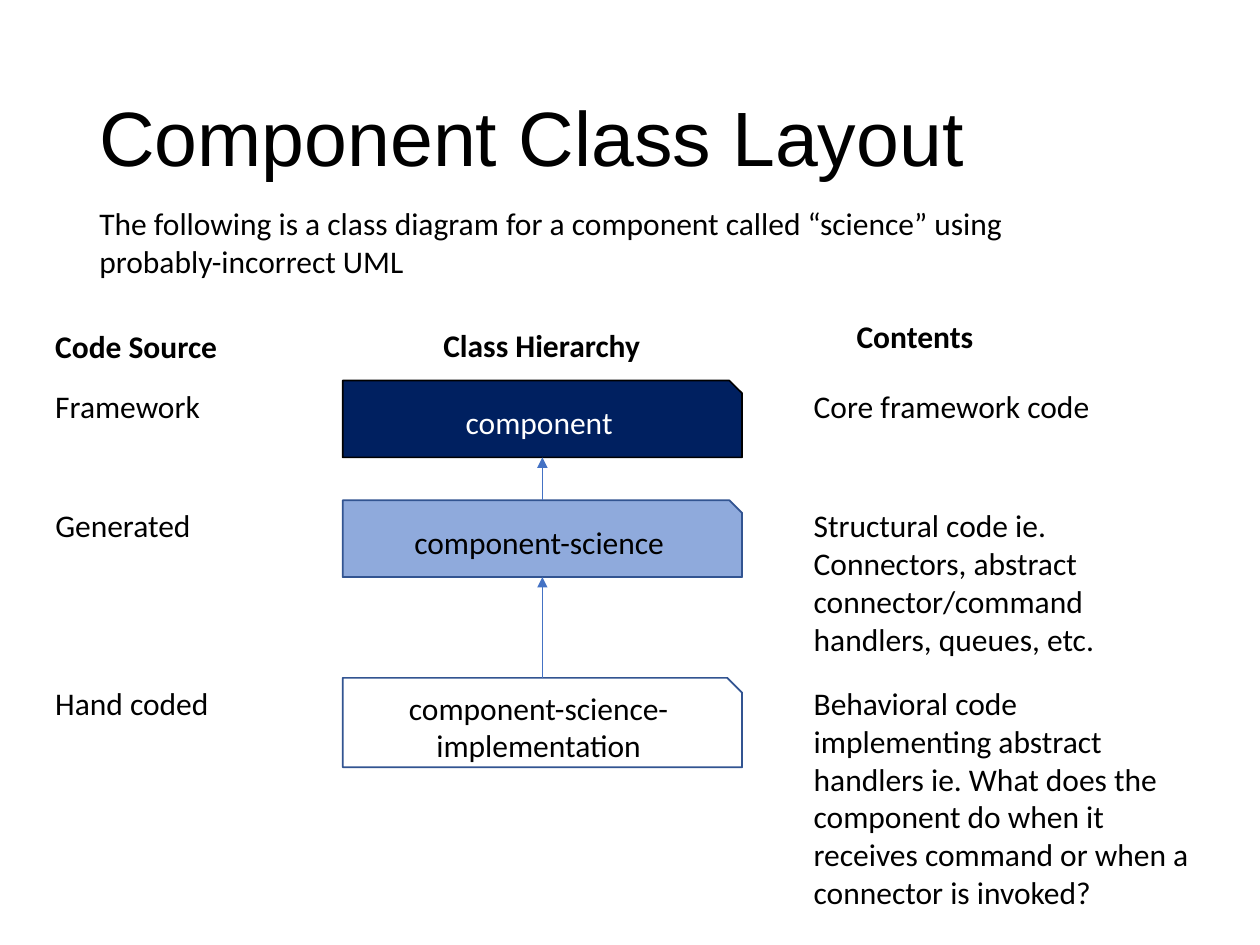
from dataclasses import dataclass

from lxml import etree
from pptx import Presentation
from pptx.dml.color import RGBColor
from pptx.enum.shapes import MSO_CONNECTOR, MSO_SHAPE
from pptx.enum.text import MSO_ANCHOR, MSO_AUTO_SIZE, PP_ALIGN
from pptx.oxml.ns import qn
from pptx.util import Inches, Pt

SNIPPED = MSO_SHAPE.SNIP_1_RECTANGLE
STRAIGHT = MSO_CONNECTOR.STRAIGHT
TOP, MIDDLE = MSO_ANCHOR.TOP, MSO_ANCHOR.MIDDLE
LEFT, CENTER = PP_ALIGN.LEFT, PP_ALIGN.CENTER
GROW, FIXED = MSO_AUTO_SIZE.SHAPE_TO_FIT_TEXT, MSO_AUTO_SIZE.NONE
TOP_SITE, BOTTOM_SITE = 0, 2


@dataclass(frozen=True)
class Theme:
    """Colours, fonts and type sizes of the slide."""
    black: str = "000000"
    white: str = "FFFFFF"
    navy: str = "002060"
    light_blue: str = "8FAADC"
    border_blue: str = "325491"
    arrow_blue: str = "4472C4"
    title_font: str = "Arial"
    body_font: str = "Calibri"
    title_size: int = 44
    body_size: int = 18


THEME = Theme()
LINE_HEIGHT = 0.4
CLASS_LEFT, CLASS_WIDTH = 2.72, 3.17
SOURCE_LEFT, CONTENTS_LEFT = 0.34, 6.36

HEADINGS = [
    ("Code Source", (SOURCE_LEFT, 2.55, 1.5, LINE_HEIGHT)),
    ("Class Hierarchy", (3.42, 2.54, 1.78, LINE_HEIGHT)),
    ("Contents", (6.7, 2.47, 1.13, LINE_HEIGHT)),
]
LAYERS = [
    dict(top=3.02, source=("Framework", 1.36),
         name="component", height=0.61,
         colors=(THEME.navy, THEME.black, THEME.white),
         contents=("Core framework code", 2.41, LINE_HEIGHT)),
    dict(top=3.97, source=("Generated", 1.29),
         name="component-science", height=0.61,
         colors=(THEME.light_blue, THEME.border_blue, THEME.black),
         contents=("Structural code ie. Connectors, abstract "
                   "connector/command handlers, queues, etc.", 3.26, 1.31)),
    dict(top=5.38, source=("Hand coded", 1.44),
         name="component-science-implementation", height=0.71,
         colors=(THEME.white, THEME.border_blue, THEME.black),
         contents=("Behavioral code implementing abstract handlers ie. "
                   "What does the component do when it receives command "
                   "or when a connector is invoked?", 3.26, 1.92)),
]


def inches(box):
    """Convert a (left, top, width, height) box to lengths."""
    return [Inches(length) for length in box]


def write(shape, text, *, font=THEME.body_font, size=THEME.body_size,
          color=THEME.black, bold=False, align=LEFT, anchor=TOP,
          wrap=True, fit=FIXED, spacing=None):
    """Put one formatted paragraph into a shape."""
    frame = shape.text_frame
    frame.word_wrap = wrap
    frame.auto_size = fit
    frame.vertical_anchor = anchor
    paragraph = frame.paragraphs[0]
    paragraph.alignment = align
    paragraph.line_spacing = spacing
    run = paragraph.add_run()
    run.text = text
    run.font.name = font
    run.font.size = Pt(size)
    run.font.bold = bold
    run.font.color.rgb = RGBColor.from_string(color)


def add_text(slide, box, text, **text_format):
    """Add a text box."""
    write(slide.shapes.add_textbox(*inches(box)), text, **text_format)


def add_class(slide, box, name, colors):
    """Add a class box with a snipped corner and return it."""
    fill, border, text_color = colors
    class_box = slide.shapes.add_shape(SNIPPED, *inches(box))
    class_box.shadow.inherit = False
    class_box.fill.solid()
    class_box.fill.fore_color.rgb = RGBColor.from_string(fill)
    class_box.line.color.rgb = RGBColor.from_string(border)
    class_box.line.width = Pt(1)
    write(class_box, name, color=text_color, align=CENTER, anchor=MIDDLE)
    return class_box


def add_inheritance(slide, child, parent):
    """Draw an arrow from a child class up to its parent."""
    arrow = slide.shapes.add_connector(STRAIGHT, 0, 0, 0, 0)
    arrow.begin_connect(child, TOP_SITE)
    arrow.end_connect(parent, BOTTOM_SITE)
    arrow.line.color.rgb = RGBColor.from_string(THEME.arrow_blue)
    arrow.line.width = Pt(0.5)
    outline = arrow.line._get_or_add_ln()
    etree.SubElement(outline, qn("a:tailEnd"), type="triangle")
    etree.SubElement(arrow._element.spPr, qn("a:effectLst"))


def add_header(slide, box):
    """Place the title and the introduction in the header box."""
    left, top, width, height = box
    add_text(slide, (left, top, width, 1.45), "Component Class Layout",
             font=THEME.title_font, size=THEME.title_size,
             anchor=MIDDLE, spacing=0.9)
    intro_height = 0.71
    add_text(slide, (left, top + height - intro_height, 7.59, intro_height),
             "The following is a class diagram for a component called "
             "“science” using probably-incorrect UML", fit=GROW)


def add_headings(slide):
    """Place the bold heading of each column."""
    for heading, box in HEADINGS:
        add_text(slide, box, heading, bold=True, wrap=False, fit=GROW)


def add_layer(slide, layer):
    """Place one row of source, class and contents; return the class box."""
    top = layer["top"]
    source, source_width = layer["source"]
    contents, width, height = layer["contents"]
    add_text(slide, (SOURCE_LEFT, top, source_width, LINE_HEIGHT), source,
             wrap=False, fit=GROW)
    add_text(slide, (CONTENTS_LEFT, top, width, height), contents,
             wrap=height > LINE_HEIGHT, fit=GROW)
    return add_class(slide, (CLASS_LEFT, top, CLASS_WIDTH, layer["height"]),
                     layer["name"], layer["colors"])


def main():
    """Build and save the slide."""
    deck = Presentation()
    deck.slide_width, deck.slide_height = Inches(10), Inches(7.5)
    slide = deck.slides.add_slide(deck.slide_layouts[6])
    add_header(slide, (0.69, 0.4, 8.62, 1.88))
    add_headings(slide)
    classes = [add_layer(slide, layer) for layer in LAYERS]
    for parent, child in zip(classes, classes[1:]):
        add_inheritance(slide, child, parent)
    deck.save("out.pptx")


if __name__ == "__main__":
    main()
